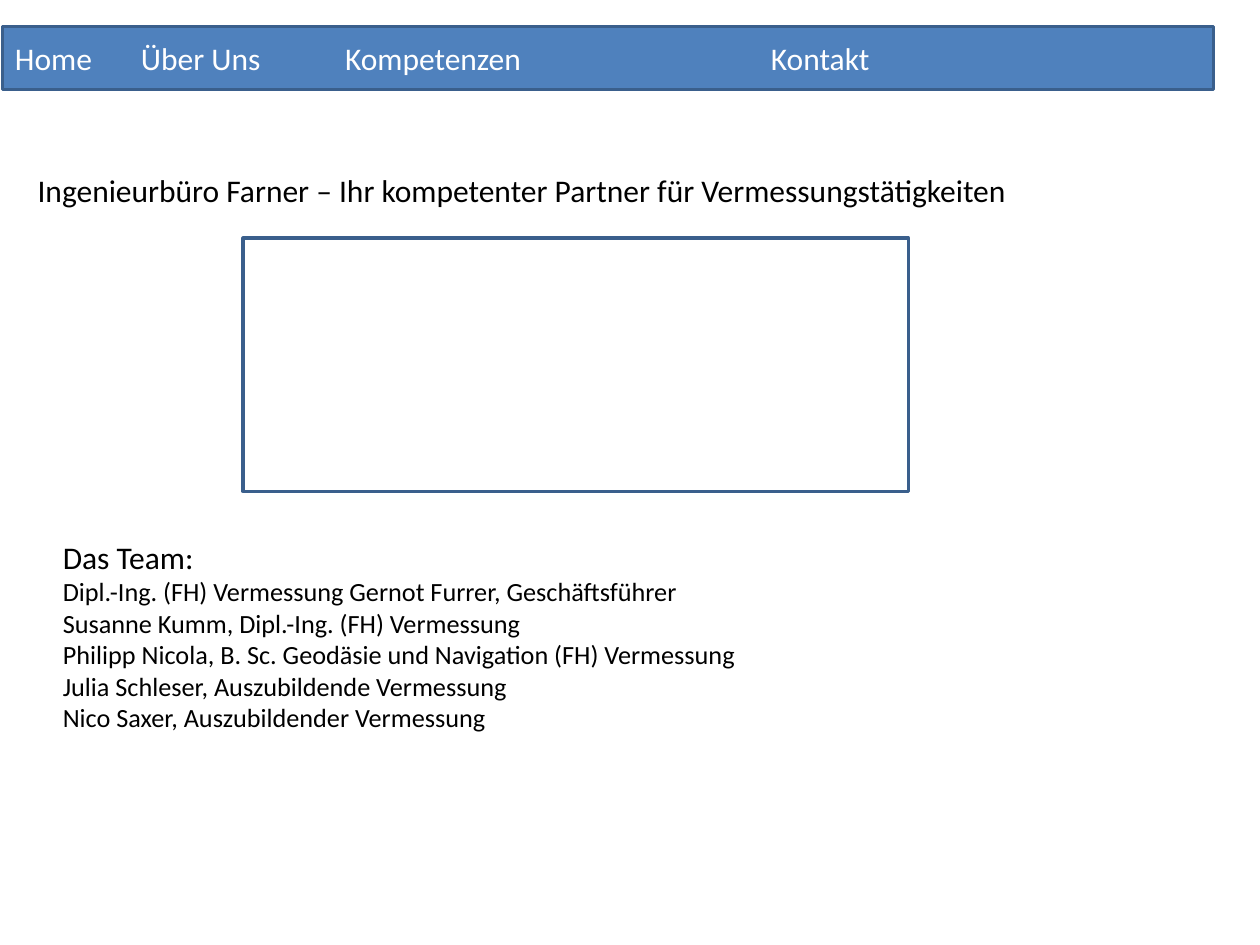
from lxml import etree
from pptx import Presentation
from pptx.dml.color import RGBColor
from pptx.enum.shapes import MSO_SHAPE
from pptx.enum.text import MSO_ANCHOR, PP_ALIGN
from pptx.oxml.ns import qn
from pptx.util import Inches, Pt

RECTANGLE = MSO_SHAPE.RECTANGLE
MIDDLE = MSO_ANCHOR.MIDDLE
LEFT = PP_ALIGN.LEFT


def rgb(value):
    return RGBColor.from_string(value)


def add_run(paragraph, text, size, color="000000"):
    run = paragraph.add_run()
    run.text = text
    run.font.name = "Calibri"
    run.font.size = Pt(size)
    run.font.color.rgb = rgb(color)


prs = Presentation()
prs.slide_width = Inches(10)
prs.slide_height = Inches(7.5)
slide = prs.slides.add_slide(prs.slide_layouts[6])
shapes = slide.shapes

navigation = shapes.add_shape(RECTANGLE, Inches(0.02), Inches(0.21), Inches(9.61), Inches(0.5))
navigation.fill.solid()
navigation.fill.fore_color.rgb = rgb("4F81BD")
navigation.text_frame.vertical_anchor = MIDDLE
menu = navigation.text_frame.paragraphs[0]
menu.alignment = LEFT
tab_stops = etree.SubElement(menu._p.get_or_add_pPr(), qn("a:tabLst"))
for position in (1, 2.62, 6):
    etree.SubElement(tab_stops, qn("a:tab"), pos=str(Inches(position)), algn="l")
add_run(menu, "Home\tÜber Uns\tKompetenzen\tKontakt", 18, "FFFFFF")

headline = shapes.add_textbox(Inches(0.2), Inches(1.31), Inches(8.01), Inches(0.71))
headline.text_frame.word_wrap = False
add_run(
    headline.text_frame.paragraphs[0],
    "Ingenieurbüro Farner – Ihr kompetenter Partner für Vermessungstätigkeiten",
    18,
)

team = shapes.add_textbox(Inches(0.4), Inches(4.22), Inches(5.59), Inches(1.97))
team.text_frame.word_wrap = False
members = [
    "Dipl.-Ing. (FH) Vermessung Gernot Furrer, Geschäftsführer",
    "Susanne Kumm, Dipl.-Ing. (FH) Vermessung",
    "Philipp Nicola, B. Sc. Geodäsie und Navigation (FH) Vermessung",
    "Julia Schleser, Auszubildende Vermessung",
    "Nico Saxer, Auszubildender Vermessung",
]
entry = team.text_frame.paragraphs[0]
add_run(entry, "Das Team:", 18)
entry.add_line_break()
add_run(entry, members[0], 15)
for member in members[1:]:
    add_run(team.text_frame.add_paragraph(), member, 15)

image_frame = shapes.add_shape(RECTANGLE, Inches(1.93), Inches(1.89), Inches(5.28), Inches(2.01))
image_frame.fill.background()

for box in (navigation, image_frame):
    box.shadow.inherit = False
    box.line.color.rgb = rgb("3A5F8C")
    box.line.width = Pt(2)

prs.save("out.pptx")
